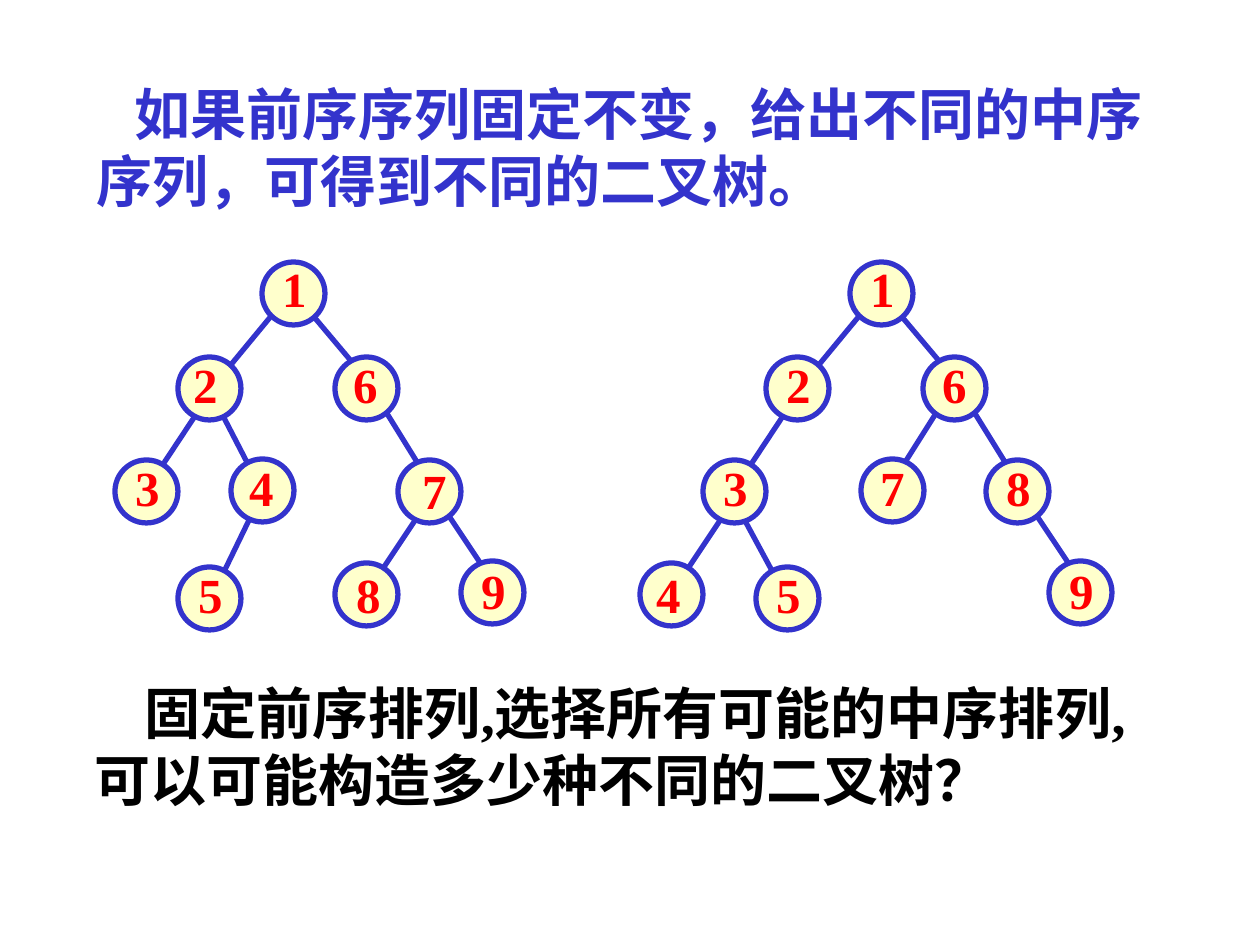
from dataclasses import dataclass
from pptx import Presentation
from pptx.dml.color import RGBColor
from pptx.enum.shapes import MSO_CONNECTOR, MSO_SHAPE
from pptx.enum.text import MSO_ANCHOR, MSO_AUTO_SIZE, PP_ALIGN
from pptx.oxml.ns import qn
from pptx.util import Emu, Pt


@dataclass(frozen=True)
class Theme:
    blue: RGBColor = RGBColor.from_string("3333CC")
    cream: RGBColor = RGBColor.from_string("FFFFCC")
    red: RGBColor = RGBColor.from_string("FF0000")
    black: RGBColor = RGBColor.from_string("000000")
    sans: str = "Arial"
    serif: str = "Times New Roman"
    sentence: int = 32
    digit: int = 28
    stroke: int = 3


theme = Theme()


def px(length):
    return Emu(round(length * 914400 / 126))


def write(frame, text, *, font, size, color, align=PP_ALIGN.LEFT,
          anchor=MSO_ANCHOR.TOP, wrap=True, indent=0):
    frame.auto_size = MSO_AUTO_SIZE.NONE
    frame.word_wrap = wrap
    frame.vertical_anchor = anchor
    para = frame.paragraphs[0]
    para.alignment = align
    if indent:
        properties = para._p.get_or_add_pPr()
        properties.set("marL", "0")
        properties.set("indent", str(px(indent)))
    span = para.add_run()
    span.text = text
    span.font.name = font
    span.font.size = Pt(size)
    span.font.bold = True
    span.font.color.rgb = color


deck = Presentation()
deck.slide_width = px(1260)
deck.slide_height = px(945)
page = deck.slides.add_slide(deck.slide_layouts[5])

title = page.shapes.title
title.left, title.top, title.width, title.height = map(px, (84, 73, 1103, 147))
write(title.text_frame, "如果前序序列固定不变，给出不同的中序序列，可得到不同的二叉树。",
      font=theme.sans, size=theme.sentence, color=theme.blue, indent=38)

node_size = 63
label_width, label_height = 49, 72

shared_edges = [
    (272, 315, 220, 378), (304, 305, 357, 368), (199, 410, 158, 472),
    (378, 399, 430, 483), (441, 504, 483, 567),
]
left_edges = [(220, 410, 252, 472), (252, 514, 220, 580), (420, 513, 378, 576)]
right_edges = [(357, 399, 304, 483), (137, 513, 95, 576), (148, 504, 189, 580)]

left_nodes = [
    ("1", 262, 262, 270, 252), ("2", 178, 357, 181, 348), ("3", 115, 460, 123, 451),
    ("4", 231, 459, 237, 451), ("5", 178, 567, 186, 558), ("6", 335, 357, 341, 348),
    ("7", 398, 460, 410, 454), ("8", 335, 563, 344, 558), ("9", 461, 561, 469, 554),
]
right_nodes = [
    ("1", 262, 262, 270, 252), ("2", 178, 357, 186, 348), ("3", 115, 460, 123, 451),
    ("4", 52, 563, 56, 558), ("5", 168, 567, 176, 558), ("6", 335, 357, 342, 348),
    ("7", 273, 459, 280, 451), ("8", 398, 460, 406, 451), ("9", 461, 561, 469, 554),
]

trees = [
    (0, shared_edges + left_edges, left_nodes),
    (588, shared_edges + right_edges, right_nodes),
]

for offset, edges, nodes in trees:
    for start_x, start_y, end_x, end_y in edges:
        edge = page.shapes.add_connector(
            MSO_CONNECTOR.STRAIGHT, px(start_x + offset), px(start_y),
            px(end_x + offset), px(end_y))
        edge.line.color.rgb = theme.blue
        edge.line.width = Pt(theme.stroke)
        edge_properties = edge._element.spPr
        edge_properties.append(edge_properties.makeelement(qn("a:effectLst"), {}))

    for digit, node_x, node_y, label_x, label_y in nodes:
        node = page.shapes.add_shape(
            MSO_SHAPE.OVAL, px(node_x + offset), px(node_y), px(node_size), px(node_size))
        node.shadow.inherit = False
        node.fill.solid()
        node.fill.fore_color.rgb = theme.cream
        node.line.color.rgb = theme.blue
        node.line.width = Pt(theme.stroke)
        label = page.shapes.add_textbox(
            px(label_x + offset), px(label_y), px(label_width), px(label_height))
        write(label.text_frame, digit, font=theme.serif, size=theme.digit, color=theme.red,
              align=PP_ALIGN.CENTER, anchor=MSO_ANCHOR.MIDDLE, wrap=False)

question = page.shapes.add_textbox(px(82), px(672), px(1094), px(147))
write(question.text_frame, "固定前序排列,选择所有可能的中序排列,可以可能构造多少种不同的二叉树？",
      font=theme.serif, size=theme.sentence, color=theme.black, indent=50)

deck.save("out.pptx")
